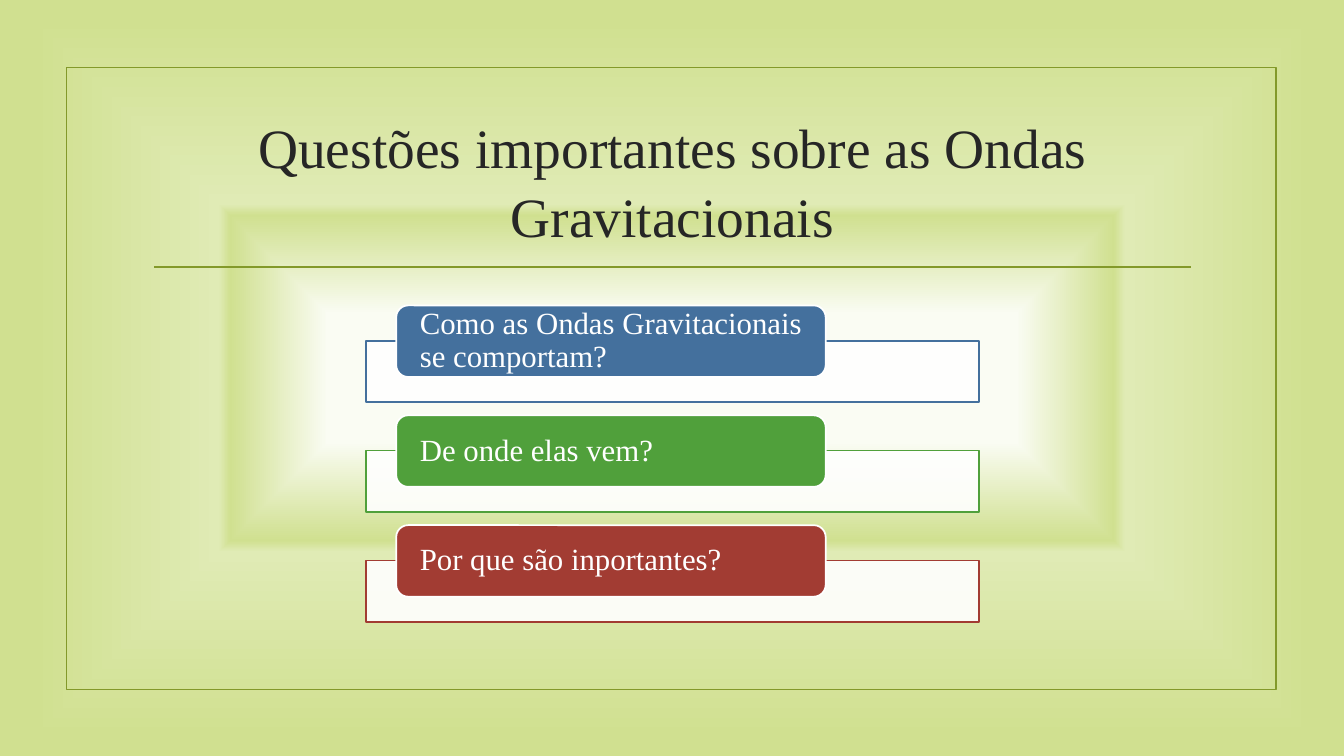
from lxml import etree
from pptx import Presentation
from pptx.dml.color import RGBColor
from pptx.enum.shapes import MSO_CONNECTOR, MSO_SHAPE
from pptx.enum.text import MSO_ANCHOR, PP_ALIGN
from pptx.oxml import parse_xml
from pptx.oxml.ns import nsdecls, qn
from pptx.util import Inches, Pt

WHITE = RGBColor(0xFF, 0xFF, 0xFF)
INK = RGBColor(0x26, 0x26, 0x26)
OLIVE = RGBColor(0x83, 0x99, 0x2A)
BLUE = RGBColor(0x44, 0x70, 0x9D)
GREEN = RGBColor(0x50, 0xA0, 0x3B)
RED = RGBColor(0xA2, 0x3C, 0x33)
BACKGROUND_STOPS = [(17, "FAFCF3"), (43, "D0E090"), (46, "E0EBB5"), (95, "D0E090")]

FONT = "Times New Roman"
LINE_WIDTH = Pt(1.25)
TITLE = "Questões importantes sobre as Ondas Gravitacionais"
QUESTIONS = [
    ("Como as Ondas Gravitacionais se comportam?", BLUE),
    ("De onde elas vem?", GREEN),
    ("Por que são inportantes?", RED),
]
FIRST_ROW, ROW_PITCH = 3.03, 1.09
PANEL_DROP = 0.35


def paint_background(slide):
    """Fill the background with a gradient that closes in on the centre."""
    fill = slide.background.fill
    fill.gradient()
    stops = "".join(
        f'<a:gs pos="{position * 1000}"><a:srgbClr val="{color}"/></a:gs>'
        for position, color in BACKGROUND_STOPS
    )
    gradient = parse_xml(
        f'<a:gradFill {nsdecls("a")} rotWithShape="1"><a:gsLst>{stops}</a:gsLst>'
        '<a:path path="shape"><a:fillToRect l="50000" t="50000" r="50000" b="50000"/>'
        "</a:path></a:gradFill>"
    )
    previous = slide.element.find(".//" + qn("a:gradFill"))
    previous.getparent().replace(previous, gradient)


def add_box(slide, kind, left, top, width, height, line_color, fill_color=None):
    shape = slide.shapes.add_shape(
        kind, Inches(left), Inches(top), Inches(width), Inches(height)
    )
    shape.shadow.inherit = False
    shape.line.color.rgb = line_color
    shape.line.width = LINE_WIDTH
    if fill_color is None:
        shape.fill.background()
    else:
        shape.fill.solid()
        shape.fill.fore_color.rgb = fill_color
    return shape


def set_opacity(shape, percent):
    color = shape.fill._xPr.find(qn("a:solidFill"))[0]
    etree.SubElement(color, qn("a:alpha")).set("val", str(percent * 1000))


def write_text(shape, text, size, color, alignment, line_spacing):
    frame = shape.text_frame
    frame.word_wrap = True
    frame.vertical_anchor = MSO_ANCHOR.MIDDLE
    frame.text = text
    paragraph = frame.paragraphs[0]
    paragraph.alignment = alignment
    paragraph.line_spacing = line_spacing
    font = paragraph.runs[0].font
    font.name, font.size, font.color.rgb = FONT, Pt(size), color
    return frame


def add_rule(slide, left, right, y):
    rule = slide.shapes.add_connector(
        MSO_CONNECTOR.STRAIGHT, Inches(left), Inches(y), Inches(right), Inches(y)
    )
    rule.line.color.rgb = OLIVE
    rule.line.width = LINE_WIDTH
    etree.SubElement(rule._element.spPr, qn("a:effectLst"))


def add_title(slide):
    title = slide.shapes.add_textbox(
        Inches(1.42), Inches(1.07), Inches(10.5), Inches(1.43)
    )
    write_text(title, TITLE, 39.6, INK, PP_ALIGN.CENTER, 1.03)


def add_question(slide, top, text, color):
    """Add a white panel with a coloured label over its upper edge."""
    panel = add_box(
        slide, MSO_SHAPE.RECTANGLE, 3.63, top + PANEL_DROP, 6.08, 0.61, color, WHITE
    )
    set_opacity(panel, 90)
    label = add_box(
        slide, MSO_SHAPE.ROUNDED_RECTANGLE, 3.93, top, 4.26, 0.71, WHITE, color
    )
    frame = write_text(label, text, 22, WHITE, PP_ALIGN.LEFT, 0.9)
    frame.margin_left = frame.margin_right = Inches(0.2)
    frame.margin_top = frame.margin_bottom = 0


def main():
    presentation = Presentation()
    presentation.slide_width = Inches(13.33)
    presentation.slide_height = Inches(7.5)
    slide = presentation.slides.add_slide(presentation.slide_layouts[6])
    paint_background(slide)
    add_box(slide, MSO_SHAPE.RECTANGLE, 0.66, 0.67, 12, 6.17, OLIVE)
    add_rule(slide, 1.53, 11.81, 2.65)
    add_title(slide)
    for row, (text, color) in enumerate(QUESTIONS):
        add_question(slide, FIRST_ROW + row * ROW_PITCH, text, color)
    presentation.save("out.pptx")


if __name__ == "__main__":
    main()
